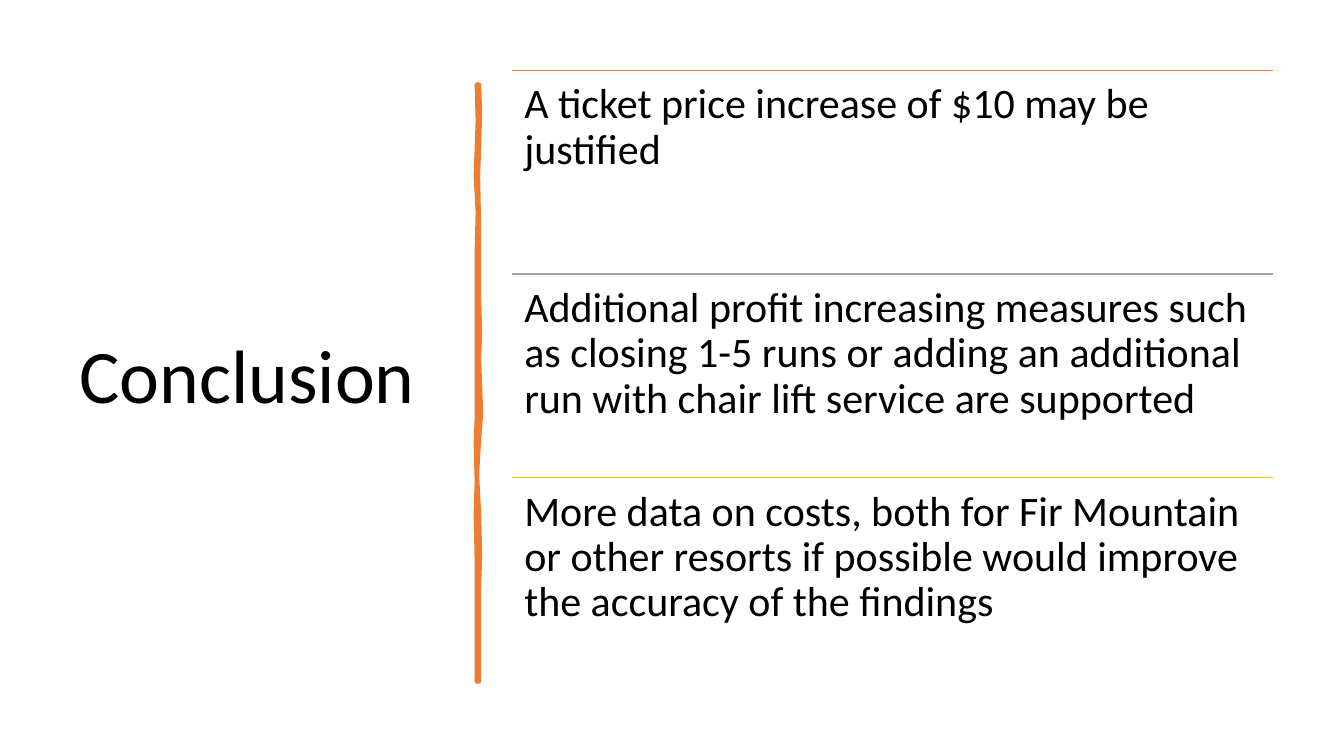
"""Build the conclusion slide with a hand-drawn divider and three ruled findings."""
from lxml.etree import SubElement
from pptx import Presentation
from pptx.dml.color import RGBColor
from pptx.enum.shapes import MSO_CONNECTOR
from pptx.enum.text import MSO_ANCHOR
from pptx.oxml.ns import qn
from pptx.util import Inches, Pt

BLACK = RGBColor(0x00, 0x00, 0x00)
ORANGE = RGBColor(0xED, 0x7D, 0x31)
GRAY = RGBColor(0xA5, 0xA5, 0xA5)
GOLD = RGBColor(0xFF, 0xC0, 0x00)
FONT = "Calibri"

TITLE = "Conclusion"
FINDINGS = [
    ("A ticket price increase of $10 may be justified", ORANGE),
    ("Additional profit increasing measures such as closing 1-5 runs or adding "
     "an additional run with chair lift service are supported", GRAY),
    ("More data on costs, both for Fir Mountain or other resorts if possible "
     "would improve the accuracy of the findings", GOLD),
]
LEFT, TOP, WIDTH, ROW_HEIGHT = 5.08, 0.7, 7.55, 2.02

DIVIDER = [
    (4.75, 0.84), (4.76, 1.1), (4.75, 1.46), (4.74, 1.75), (4.75, 2.26),
    (4.75, 2.94), (4.76, 3.3), (4.75, 3.56), (4.77, 4.1), (4.75, 4.36),
    (4.73, 4.7), (4.75, 5.1), (4.76, 5.5), (4.75, 5.84), (4.75, 6.76),
    (4.73, 6.76), (4.73, 6.13), (4.73, 5.57), (4.72, 5.1), (4.73, 4.77),
    (4.72, 4.4), (4.73, 4.15), (4.73, 3.35), (4.73, 2.5), (4.74, 2.1),
    (4.72, 1.75), (4.74, 1.2), (4.73, 0.84),
]


def add_text(s, text, box, size, margins, anchor):
    tb = s.shapes.add_textbox(*map(Inches, box))
    tf = tb.text_frame
    tf.word_wrap = True
    tf.vertical_anchor = anchor
    tf.margin_left = tf.margin_right = Inches(margins[0])
    tf.margin_top = tf.margin_bottom = Inches(margins[1])
    tf.text = text
    p = tf.paragraphs[0]
    p.line_spacing = 0.9
    font = p.runs[0].font
    font.name, font.size, font.color.rgb = FONT, Pt(size), BLACK


def add_rule(s, y, color):
    line = s.shapes.add_connector(
        MSO_CONNECTOR.STRAIGHT, Inches(LEFT), Inches(y), Inches(LEFT + WIDTH), Inches(y))
    line.line.color.rgb = color
    line.line.width = Pt(1)
    SubElement(line._element.spPr, qn("a:effectLst"))


def add_divider(s):
    points = [(Inches(x), Inches(y)) for x, y in DIVIDER]
    builder = s.shapes.build_freeform(*points[0])
    builder.add_line_segments(points[1:], close=True)
    divider = builder.convert_to_shape()
    divider.shadow.inherit = False
    divider.fill.solid()
    divider.fill.fore_color.rgb = ORANGE
    divider.line.color.rgb = ORANGE
    divider.line.width = Pt(3.25)
    SubElement(divider.line._get_or_add_ln(), qn("a:round"))


def main():
    prs = Presentation()
    prs.slide_width, prs.slide_height = Inches(13.33), Inches(7.5)
    s = prs.slides.add_slide(prs.slide_layouts[6])
    add_text(s, TITLE, (0.69, 0.7, 3.74, 6.11), 54, (0.1, 0.05), MSO_ANCHOR.MIDDLE)
    add_divider(s)
    for i, (text, color) in enumerate(FINDINGS):
        y = TOP + i * ROW_HEIGHT
        add_rule(s, y, color)
        add_text(s, text, (LEFT, y, WIDTH, ROW_HEIGHT), 30, (0.12, 0.12), MSO_ANCHOR.TOP)
    prs.save("out.pptx")


if __name__ == "__main__":
    main()
